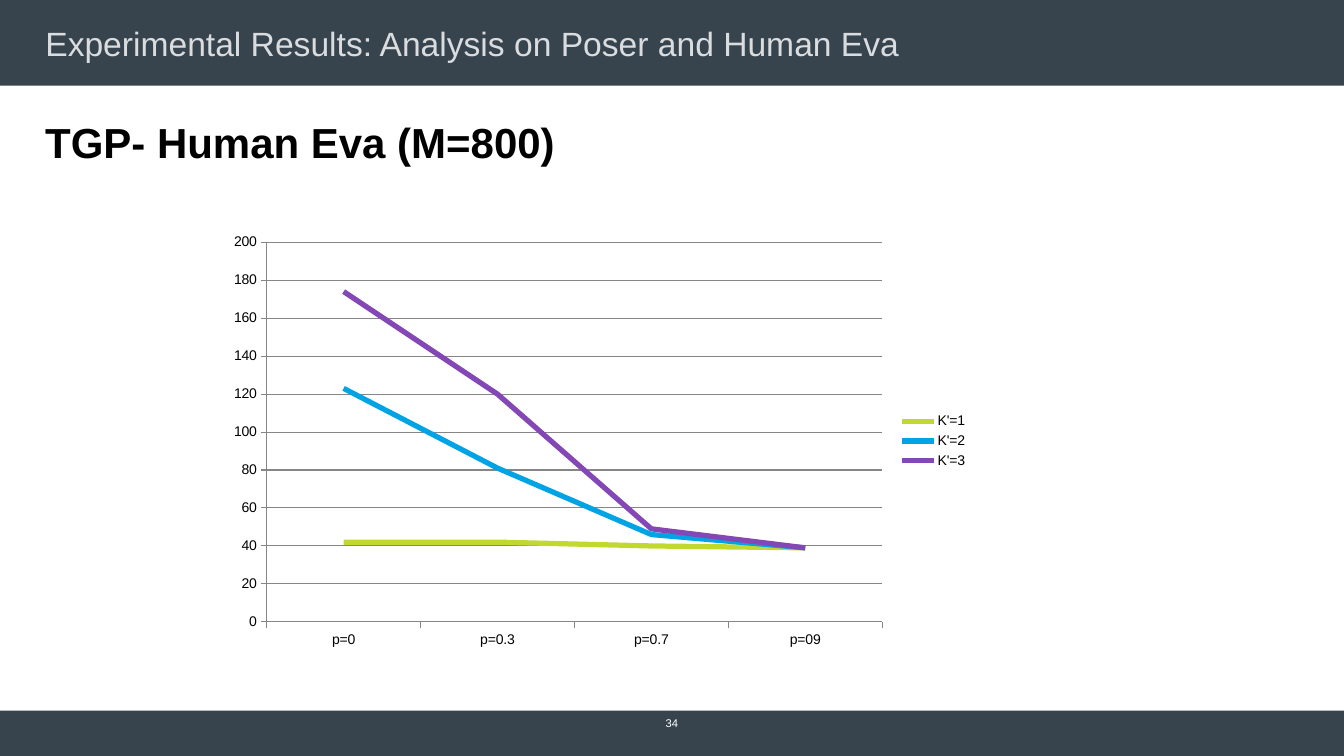
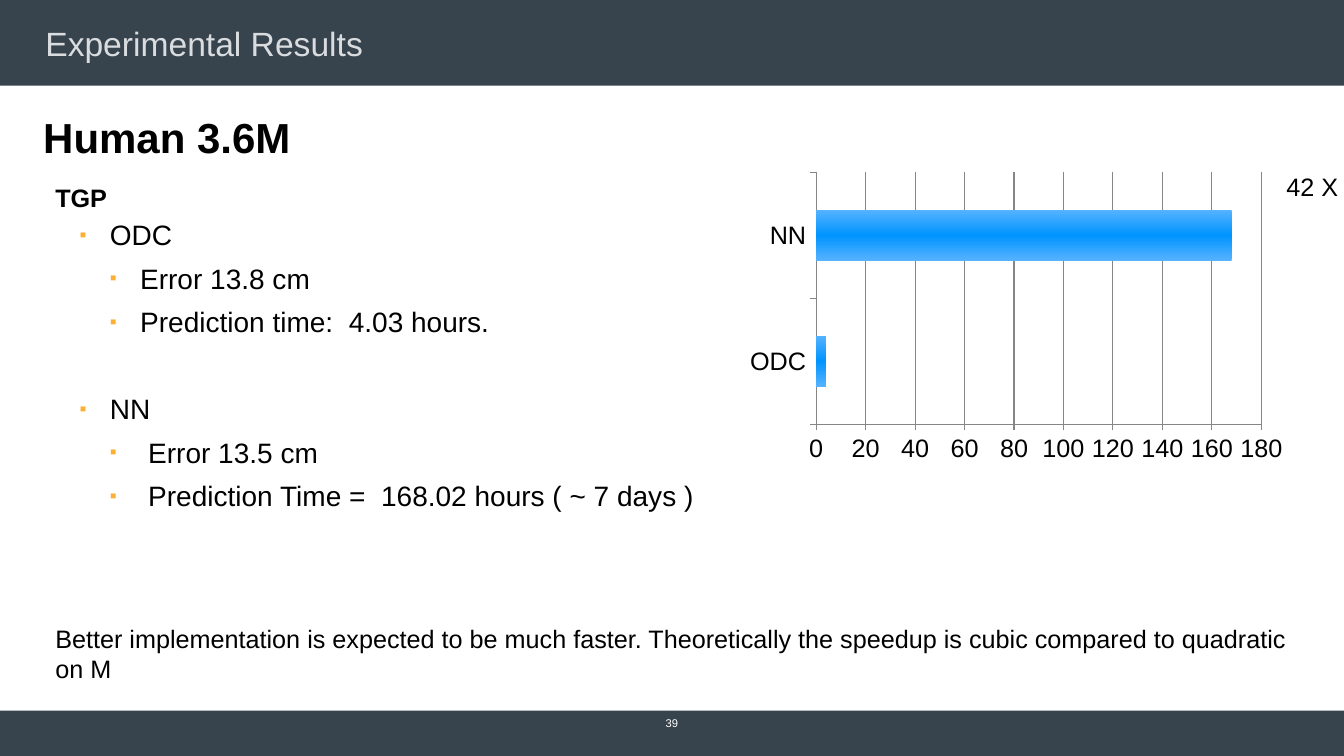
import copy
from dataclasses import dataclass
from typing import Any

import lxml.etree
import pptx
import pptx.chart.data
import pptx.dml.color
import pptx.enum.chart
import pptx.enum.shapes
import pptx.enum.text
import pptx.oxml.ns
import pptx.util

Inches = pptx.util.Inches
Pt = pptx.util.Pt
RGBColor = pptx.dml.color.RGBColor
Align = pptx.enum.text.PP_ALIGN
Anchor = pptx.enum.text.MSO_ANCHOR
ChartType = pptx.enum.chart.XL_CHART_TYPE
qn = pptx.oxml.ns.qn

SLATE = RGBColor(0x37, 0x43, 0x4D)
PALE_GRAY = RGBColor(0xDA, 0xDD, 0xE0)
WHITE = RGBColor(0xFF, 0xFF, 0xFF)
BLACK = RGBColor(0x00, 0x00, 0x00)
AMBER = RGBColor(0xFB, 0xB0, 0x34)
GRID_GRAY = RGBColor(0x86, 0x86, 0x86)
LIME = RGBColor(0xC1, 0xD8, 0x2F)
SKY = RGBColor(0x00, 0xA4, 0xE4)
PURPLE = RGBColor(0x83, 0x48, 0xB5)
BAR_EDGE = RGBColor(0x55, 0xB2, 0xFF)
BAR_CORE = RGBColor(0x00, 0x94, 0xFF)

FONT = "Arial"
SLIDE_WIDTH = Inches(13.33)
SLIDE_HEIGHT = Inches(7.5)
BULLET_STEP = Inches(0.3)
TITLE_FRAME = {
    "margin_left": Inches(0.12), "margin_right": Inches(0.12),
    "margin_top": Inches(0.06), "margin_bottom": Inches(0.06),
    "vertical_anchor": Anchor.MIDDLE, "word_wrap": True,
    "auto_size": pptx.enum.text.MSO_AUTO_SIZE.NONE,
}
PAGE_FRAME = TITLE_FRAME | {"margin_top": 0, "margin_bottom": 0}
LABEL_FRAME = {
    "margin_left": Inches(0.1), "margin_right": 0,
    "margin_top": Inches(0.05), "margin_bottom": Inches(0.05),
    "vertical_anchor": Anchor.TOP, "word_wrap": False,
}
NOTE_FRAME = LABEL_FRAME | {"word_wrap": True}
BULLET_FRAME = TITLE_FRAME | {"vertical_anchor": Anchor.TOP}


@dataclass(frozen=True)
class Box:
    left: float
    top: float
    width: float
    height: float

    def lengths(self) -> list[int]:
        return [Inches(v) for v in (self.left, self.top, self.width, self.height)]


@dataclass(frozen=True)
class Label:
    box: Box
    lines: tuple[str, ...]
    size: float
    bold: bool = False
    frame: Any = None


@dataclass(frozen=True)
class Bullet:
    text: str
    level: int = 0
    before: float = 7.1
    extra_indent: float = 0


@dataclass(frozen=True)
class Series:
    name: str
    values: tuple[int, ...]
    color: RGBColor


@dataclass(frozen=True)
class ChartPlan:
    kind: Any
    box: Box
    size: float
    maximum: int
    categories: tuple[str, ...]
    series: tuple[Series, ...]
    legend: bool = False


BANDS = (Box(0, 7.05, 13.33, 0.45), Box(0, 0, 13.33, 0.85))
TITLE_BOX = Box(0.33, 0.2, 12.66, 0.45)
PAGE_BOX = Box(6.11, 7.08, 1.11, 0.18)
BULLET_BOX = Box(0.67, 2.1, 6.6, 3.1)

HUMAN_EVA_CHART = ChartPlan(
    ChartType.LINE, Box(2.17, 2.24, 7.53, 4.27), 10, 200,
    ("p=0", "p=0.3", "p=0.7", "p=09"),
    (
        Series("K'=1", (42, 42, 40, 39), LIME),
        Series("K'=2", (123, 81, 46, 39), SKY),
        Series("K'=3", (174, 120, 49, 39), PURPLE),
    ),
    legend=True,
)
PREDICTION_TIME_CHART = ChartPlan(
    ChartType.BAR_CLUSTERED, Box(7.33, 1.65, 5.5, 3), 18, 180,
    ("ODC", "NN"),
    (Series("Series 1", (4, 168), BAR_CORE),),
)
METHOD_RESULTS = (
    Bullet("ODC", before=0),
    Bullet("Error 13.8 cm", 1),
    Bullet("Prediction time:  4.03 hours.", 1),
    Bullet("NN", before=38.2),
    Bullet("Error 13.5 cm", 1, extra_indent=0.08),
    Bullet("Prediction Time =  168.02 hours ( ~ 7 days )", 1, extra_indent=0.08),
)


def apply_format(target: Any, values: dict[str, Any]) -> None:
    for name, value in values.items():
        setattr(target, name, value)


def format_font(font: Any, size: float, color: RGBColor, bold: bool = False) -> None:
    apply_format(font, {"name": FONT, "size": Pt(size), "bold": bold})
    font.color.rgb = color


def write_line(paragraph: Any, text: str, size: float, color: RGBColor,
               align: Any = Align.LEFT, bold: bool = False) -> None:
    paragraph.alignment = align
    run = paragraph.add_run()
    run.text = text
    format_font(run.font, size, color, bold)


def next_paragraph(frame: Any, index: int) -> Any:
    return frame.add_paragraph() if index else frame.paragraphs[0]


def add_page(deck: Any, title: str, number: str) -> Any:
    slide = deck.slides.add_slide(deck.slide_layouts[5])
    heading = slide.shapes.title
    for box in BANDS:
        band = slide.shapes.add_shape(
            pptx.enum.shapes.MSO_SHAPE.RECTANGLE, *box.lengths())
        band.shadow.inherit = False
        band.fill.solid()
        band.fill.fore_color.rgb = SLATE
        band.line.fill.background()
        heading._element.addprevious(band._element)
    apply_format(heading, dict(zip(("left", "top", "width", "height"),
                                   TITLE_BOX.lengths())))
    apply_format(heading.text_frame, TITLE_FRAME)
    write_line(heading.text_frame.paragraphs[0], title, 24, PALE_GRAY)

    page_frame = slide.shapes.add_textbox(*PAGE_BOX.lengths()).text_frame
    apply_format(page_frame, PAGE_FRAME)
    write_line(page_frame.paragraphs[0], number, 8, WHITE, Align.CENTER)
    return slide


def add_label(slide: Any, label: Label) -> None:
    frame = slide.shapes.add_textbox(*label.box.lengths()).text_frame
    apply_format(frame, label.frame or LABEL_FRAME)
    for index, line in enumerate(label.lines):
        write_line(next_paragraph(frame, index), line, label.size, BLACK,
                   bold=label.bold)


def add_bullets(slide: Any, box: Box, bullets: tuple[Bullet, ...]) -> None:
    frame = slide.shapes.add_textbox(*box.lengths()).text_frame
    apply_format(frame, BULLET_FRAME)
    for index, bullet in enumerate(bullets):
        paragraph = next_paragraph(frame, index)
        properties = paragraph._p.get_or_add_pPr()
        extra = Inches(bullet.extra_indent)
        properties.set("marL", str(BULLET_STEP * (bullet.level + 1) + extra))
        properties.set("indent", str(-BULLET_STEP - extra))
        tint = lxml.etree.SubElement(properties, qn("a:buClr"))
        lxml.etree.SubElement(tint, qn("a:srgbClr"), val=str(AMBER))
        lxml.etree.SubElement(properties, qn("a:buSzPct"), val="70000")
        lxml.etree.SubElement(properties, qn("a:buFont"), typeface=FONT)
        lxml.etree.SubElement(properties, qn("a:buChar"), char="▪")
        apply_format(paragraph, {
            "level": bullet.level, "space_before": Pt(bullet.before),
            "line_spacing": Pt(24),
        })
        write_line(paragraph, bullet.text, 20, BLACK)


def color_line(line: Any, color: RGBColor, width: float) -> None:
    line.color.rgb = color
    line.width = Pt(width)


def shade_bar(series: Any) -> None:
    fill = series.format.fill
    fill.gradient()
    fill.gradient_angle = 90
    stops = series._element.find(".//" + qn("a:gsLst"))
    stops.append(copy.deepcopy(stops[0]))
    shades = ((0, BAR_EDGE), (0.5, BAR_CORE), (1, BAR_EDGE))
    for stop, (position, color) in zip(fill.gradient_stops, shades):
        stop.position = position
        stop.color.rgb = color


def add_plot(slide: Any, plan: ChartPlan) -> None:
    data = pptx.chart.data.CategoryChartData()
    data.categories = plan.categories
    for entry in plan.series:
        data.add_series(entry.name, entry.values)
    chart = slide.shapes.add_chart(plan.kind, *plan.box.lengths(), data).chart
    apply_format(chart, {"has_title": False, "has_legend": plan.legend})
    format_font(chart.font, plan.size, BLACK)
    if plan.legend:
        apply_format(chart.legend, {
            "position": pptx.enum.chart.XL_LEGEND_POSITION.RIGHT,
            "include_in_layout": False,
        })

    for axis in (chart.category_axis, chart.value_axis):
        apply_format(axis, {
            "major_tick_mark": pptx.enum.chart.XL_TICK_MARK.OUTSIDE,
            "minor_tick_mark": pptx.enum.chart.XL_TICK_MARK.NONE,
        })
        color_line(axis.format.line, GRID_GRAY, 0.75)
    chart.category_axis.has_major_gridlines = False
    apply_format(chart.value_axis, {
        "minimum_scale": 0, "maximum_scale": plan.maximum,
        "major_unit": 20, "has_major_gridlines": True,
    })
    color_line(chart.value_axis.major_gridlines.format.line, GRID_GRAY, 0.75)

    plot = chart.plots[0]
    plot.vary_by_categories = False
    for series, entry in zip(plot.series, plan.series):
        if plan.kind == ChartType.LINE:
            series.smooth = False
            series.marker.style = pptx.enum.chart.XL_MARKER_STYLE.NONE
            color_line(series.format.line, entry.color, 3.75)
        else:
            plot.gap_width = 150
            shade_bar(series)


def main() -> None:
    deck = pptx.Presentation()
    apply_format(deck, {"slide_width": SLIDE_WIDTH, "slide_height": SLIDE_HEIGHT})

    human_eva = add_page(
        deck, "Experimental Results: Analysis on Poser and Human Eva", "34")
    add_label(human_eva, Label(Box(0.35, 1.11, 12.64, 0.61),
                               ("TGP- Human Eva (M=800)",), 30, True, NOTE_FRAME))
    add_plot(human_eva, HUMAN_EVA_CHART)

    human_36m = add_page(deck, "Experimental Results", "39")
    add_bullets(human_36m, BULLET_BOX, METHOD_RESULTS)
    add_plot(human_36m, PREDICTION_TIME_CHART)
    for label in (
        Label(Box(0.33, 1.06, 2.68, 0.61), ("Human 3.6M",), 30, True),
        Label(Box(0.45, 1.76, 0.72, 0.4), ("TGP",), 18, True),
        Label(Box(12.66, 1.65, 0.67, 0.4), ("42 X",), 18),
        Label(Box(0.45, 6.13, 12.53, 0.71), (
            "Better implementation is expected to be much faster. "
            "Theoretically the speedup is cubic compared to quadratic",
            "on M",
        ), 18, frame=NOTE_FRAME),
    ):
        add_label(human_36m, label)

    deck.save("out.pptx")


if __name__ == "__main__":
    main()
